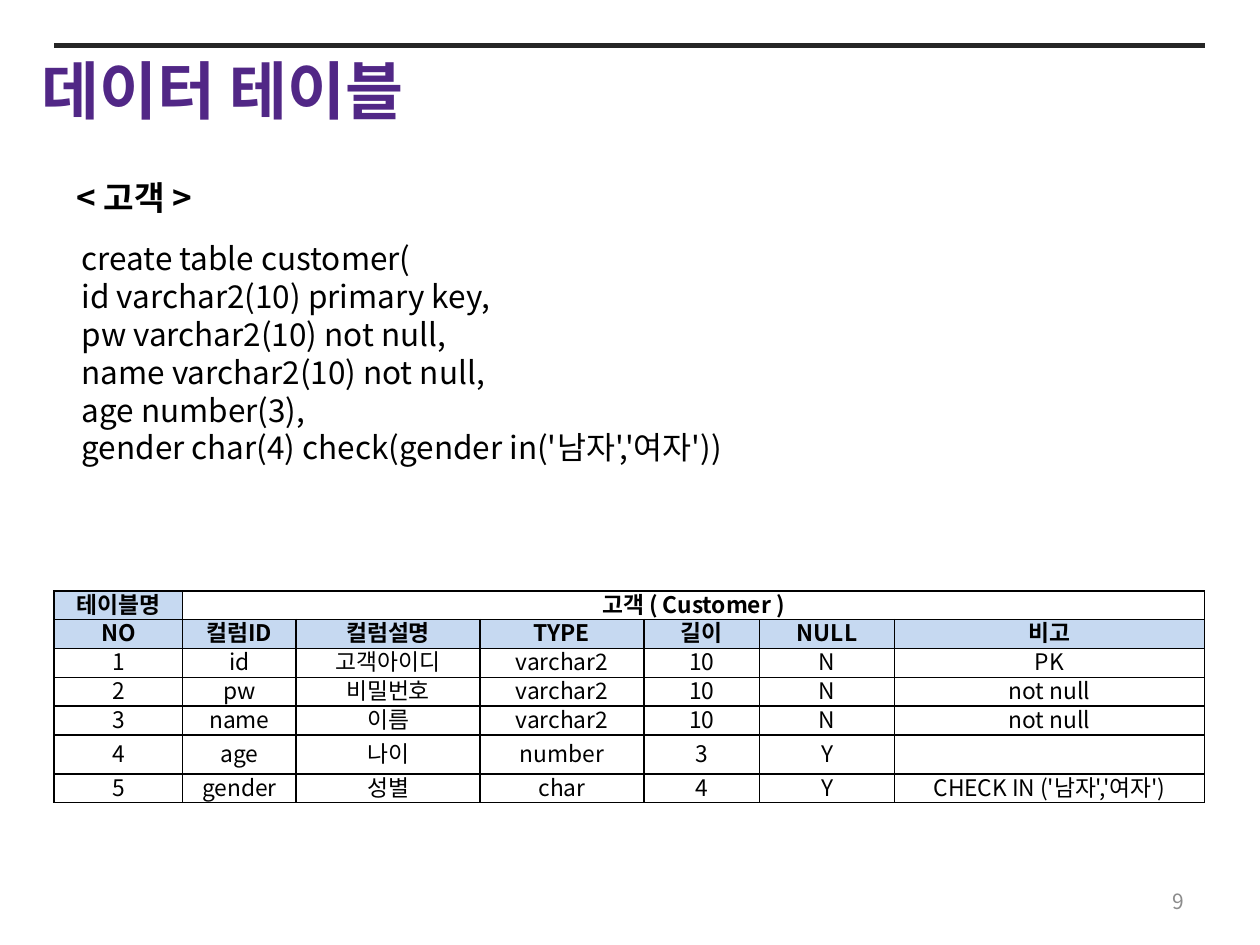
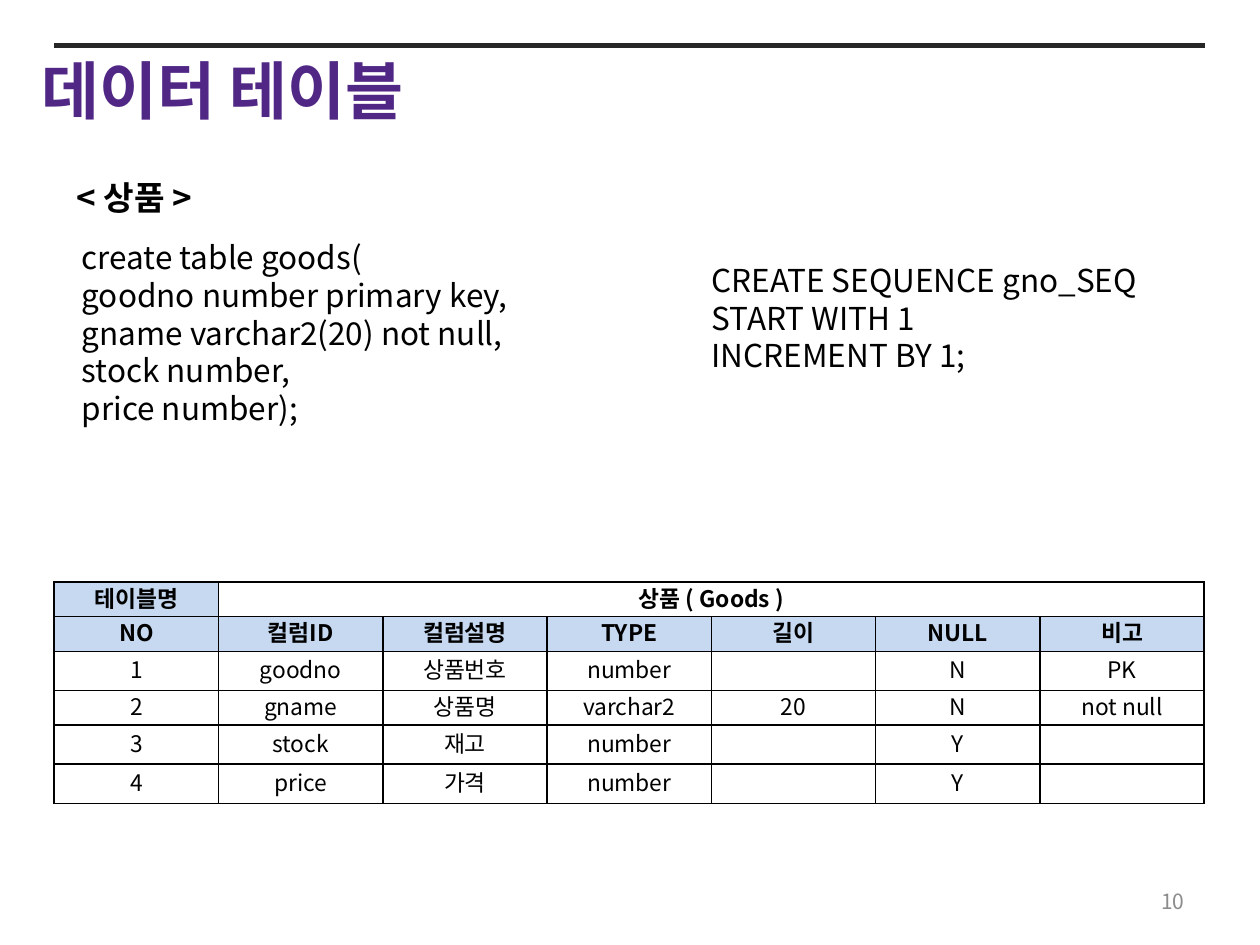
from lxml import etree
from pptx import Presentation
from pptx import util as u
from pptx.dml.color import RGBColor
from pptx.enum import shapes, text
from pptx.oxml import ns

FONT = "Noto Sans CJK KR"
BLACK, WHITE = "000000", "FFFFFF"
TITLE_PURPLE, RULE_GRAY = "512786", "262626"
HEADER_BLUE, NUMBER_GRAY = "C6D9F1", "8C8C8C"
LEFT, WIDTH = 0.43, 9.13
HEADINGS = ["NO", "컬럼ID", "컬럼설명", "TYPE", "길이", "NULL", "비고"]
CELL_INSETS = (0.01, 0.01, 0.01, 0)
CODE_INSETS = (0.1, 0.05, 0.1, 0.3)


def color(value):
    return RGBColor.from_string(value)


def write(frame, content, size=18, bold=False, fill=BLACK,
          align=text.PP_ALIGN.LEFT, anchor=text.MSO_ANCHOR.TOP,
          insets=(0.1, 0.05, 0.1, 0.05)):
    """Fill a text frame, one paragraph for each line of content."""
    frame.word_wrap = True
    frame.vertical_anchor = anchor
    (frame.margin_left, frame.margin_top,
     frame.margin_right, frame.margin_bottom) = map(u.Inches, insets)
    for index, line in enumerate(content.split("\n")):
        paragraph = frame.add_paragraph() if index else frame.paragraphs[0]
        paragraph.alignment = align
        paragraph.line_spacing = u.Pt(size * 1.2)
        paragraph.space_before = paragraph.space_after = u.Pt(0)
        if not line:
            continue
        run = paragraph.add_run()
        run.text = line
        run.font.name = FONT
        run.font.size = u.Pt(size)
        run.font.bold = bold
        run.font.color.rgb = color(fill)
        # Hangul takes the East Asian typeface
        east_asian = etree.SubElement(run.font._element, ns.qn("a:ea"))
        east_asian.set("typeface", FONT)


def add_text(slide, box, content, **style):
    shape = slide.shapes.add_textbox(*map(u.Inches, box))
    write(shape.text_frame, content, **style)


def add_title(slide, content):
    title = slide.shapes.title
    title.left, title.top, title.width, title.height = map(
        u.Inches, (0.12, 0.36, 7.56, 0.71))
    title.text_frame.auto_size = text.MSO_AUTO_SIZE.NONE
    write(title.text_frame, content, size=36, bold=True, fill=TITLE_PURPLE,
          insets=(0.21, 0.05, 0.1, 0.05))


def add_rule(slide):
    rule = slide.shapes.add_connector(
        shapes.MSO_CONNECTOR.STRAIGHT,
        *map(u.Inches, (LEFT, 0.36, LEFT + WIDTH, 0.36)))
    rule.line.color.rgb = color(RULE_GRAY)
    rule.line.width = u.Pt(3)
    etree.SubElement(rule._element.spPr, ns.qn("a:effectLst"))


def add_code(slide, box, content):
    shape = slide.shapes.add_shape(shapes.MSO_SHAPE.RECTANGLE,
                                   *map(u.Inches, box))
    shape.shadow.inherit = False
    shape.fill.solid()
    shape.fill.fore_color.rgb = color(WHITE)
    shape.line.fill.background()
    write(shape.text_frame, content, anchor=text.MSO_ANCHOR.MIDDLE,
          insets=CODE_INSETS)


def add_borders(cell):
    properties = cell._tc.get_or_add_tcPr()
    for side in ("lnL", "lnR", "lnT", "lnB"):
        border = etree.SubElement(properties, ns.qn(f"a:{side}"),
                                  w=str(u.Pt(1)))
        solid = etree.SubElement(border, ns.qn("a:solidFill"))
        etree.SubElement(solid, ns.qn("a:srgbClr"), val=BLACK)


def add_column_table(slide, top, height, widths, name, records):
    """Table description: name row, heading row, then numbered columns."""
    rows = [["테이블명", name] + [""] * (len(HEADINGS) - 2), HEADINGS]
    rows += [[str(number), *record]
             for number, record in enumerate(records, 1)]
    frame = slide.shapes.add_table(
        len(rows), len(HEADINGS),
        *map(u.Inches, (LEFT, top, WIDTH, height)))
    table = frame.table
    table.first_row = table.horz_banding = False
    for column, width in zip(table.columns, widths):
        column.width = u.Inches(width)
    for row in table.rows:
        row.height = u.Inches(height / len(rows))
    table.cell(0, 1).merge(table.cell(0, len(HEADINGS) - 1))
    for row_index, values in enumerate(rows):
        for column_index, value in enumerate(values):
            cell = table.cell(row_index, column_index)
            add_borders(cell)
            if row_index > 1:
                cell.fill.background()
            else:
                is_name = row_index == 0 and column_index > 0
                cell.fill.solid()
                cell.fill.fore_color.rgb = color(
                    WHITE if is_name else HEADER_BLUE)
            write(cell.text_frame, value, size=13, bold=row_index < 2,
                  align=text.PP_ALIGN.CENTER, insets=CELL_INSETS)
            cell.vertical_anchor = text.MSO_ANCHOR.MIDDLE
            (cell.margin_left, cell.margin_top, cell.margin_right,
             cell.margin_bottom) = map(u.Inches, CELL_INSETS)


def add_entity_slide(presentation, number, entity, code, code_box):
    """Slide with the shared title, rule, page number and one SQL block."""
    slide = presentation.slides.add_slide(presentation.slide_layouts[5])
    add_title(slide, "데이터 테이블")
    add_rule(slide)
    add_code(slide, code_box, code)
    add_text(slide, (0.51, 1.36, 1.65, 0.42), f"< {entity} >",
             size=19, bold=True)
    add_text(slide, (7.17, 6.95, 2.33, 0.4), str(number), size=12,
             fill=NUMBER_GRAY, align=text.PP_ALIGN.RIGHT,
             anchor=text.MSO_ANCHOR.MIDDLE)
    return slide


def main():
    presentation = Presentation()
    presentation.slide_width = u.Inches(10)
    presentation.slide_height = u.Inches(7.5)

    # Customer
    customer = add_entity_slide(
        presentation, 9, "고객",
        "create table customer(\n"
        "id varchar2(10) primary key,\n"
        "pw varchar2(10) not null,\n"
        "name varchar2(10) not null,\n"
        "age number(3),\n"
        "gender char(4) check(gender in('남자','여자'))",
        (0.55, 1.95, 6.26, 1.95))
    add_column_table(
        customer, 4.69, 1.6, [1.02, 0.9, 1.46, 1.3, 0.92, 1.07, 2.46],
        "고객 ( Customer )",
        [("id", "고객아이디", "varchar2", "10", "N", "PK"),
         ("pw", "비밀번호", "varchar2", "10", "N", "not null"),
         ("name", "이름", "varchar2", "10", "N", "not null"),
         ("age", "나이", "number", "3", "Y", ""),
         ("gender", "성별", "char", "4", "Y", "CHECK IN ('남자','여자')")])

    # Goods
    goods = add_entity_slide(
        presentation, 10, "상품",
        "create table goods(\n"
        "goodno number primary key,\n"
        "gname varchar2(20) not null,\n"
        "stock number,\n"
        "price number);",
        (0.55, 1.86, 4.45, 1.81))
    add_text(goods, (5.55, 2.02, 3.94, 1.01),
             "CREATE SEQUENCE gno_SEQ\nSTART WITH 1\nINCREMENT BY 1;")
    add_column_table(
        goods, 4.62, 1.65, [WIDTH / len(HEADINGS)] * len(HEADINGS),
        "상품 ( Goods )",
        [("goodno", "상품번호", "number", "", "N", "PK"),
         ("gname", "상품명", "varchar2", "20", "N", "not null"),
         ("stock", "재고", "number", "", "Y", ""),
         ("price", "가격", "number", "", "Y", "")])

    presentation.save("out.pptx")


if __name__ == "__main__":
    main()
